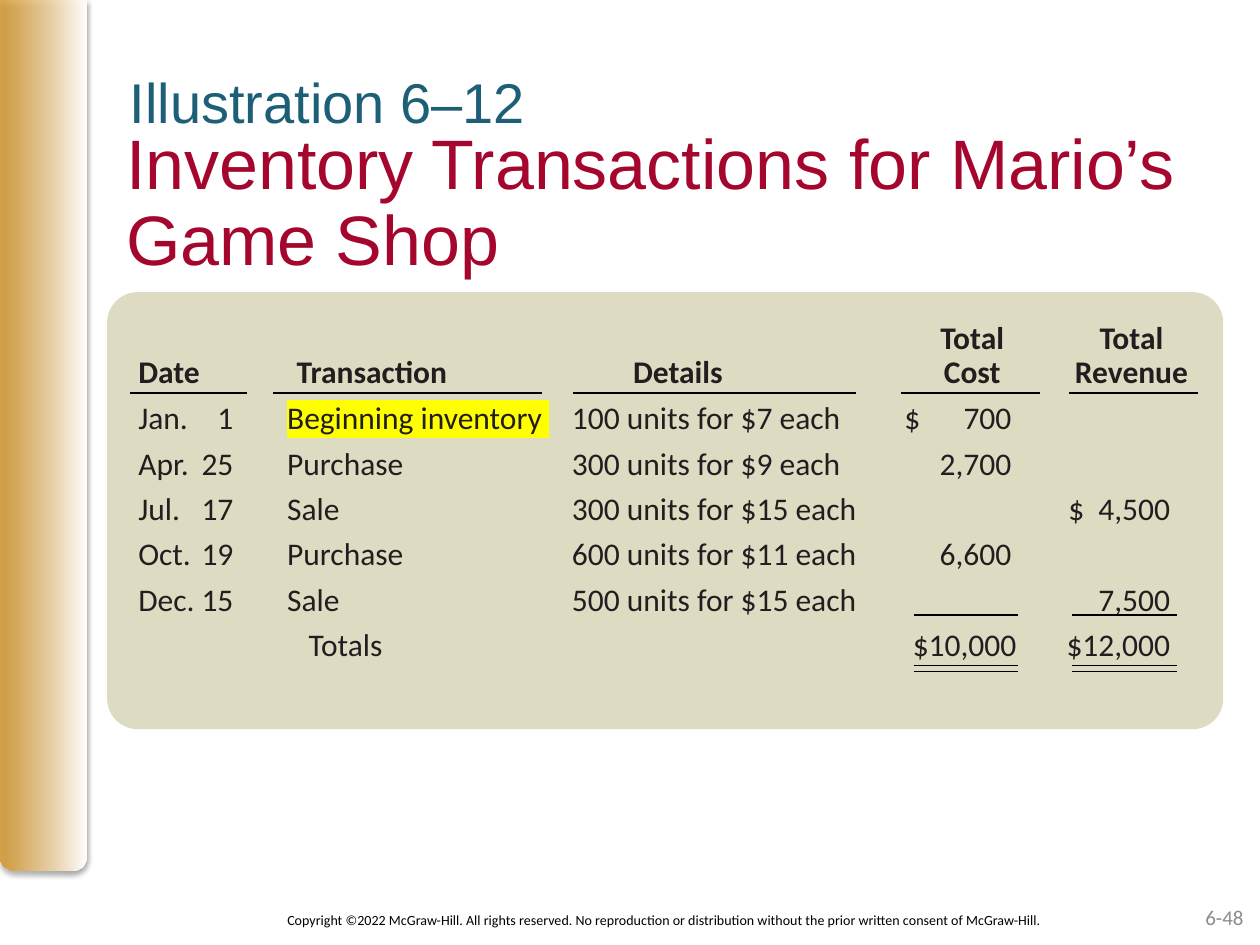
"""Build the slide listing a game shop's inventory transactions."""
from dataclasses import dataclass

from lxml.etree import SubElement
from pptx import Presentation
from pptx.dml.color import RGBColor
from pptx.enum.shapes import MSO_CONNECTOR, MSO_SHAPE
from pptx.enum.text import MSO_ANCHOR, MSO_AUTO_SIZE, PP_ALIGN
from pptx.oxml.ns import qn
from pptx.util import Cm, Pt


@dataclass(frozen=True)
class Theme:
    heading: str = "Arial"
    body: str = "Calibri"
    gold: str = "D49323"
    white: str = "FFFFFF"
    panel: str = "D4D0B0"
    crimson: str = "A5062D"
    teal: str = "1D5F76"
    ink: str = "221E1F"
    black: str = "000000"
    gray: str = "8C8C8C"
    marker: str = "FFFF00"
    title_size: int = 40
    label_size: int = 32
    body_size: int = 18
    number_size: int = 12
    footer_size: int = 8


theme = Theme()


def add_text(p, text, size=theme.body_size, color=theme.ink, font=theme.body, bold=False, highlight=None):
    r = p.add_run()
    r.text = text
    r.font.size = Pt(size)
    r.font.bold = bold
    r.font.color.rgb = RGBColor.from_string(color)
    if highlight:
        mark = SubElement(r.font._element, qn("a:highlight"))
        SubElement(mark, qn("a:srgbClr"), val=highlight)
    r.font.name = font


def add_rule(s, left, right, y):
    line = s.shapes.add_connector(MSO_CONNECTOR.STRAIGHT, Cm(left), Cm(y), Cm(right), Cm(y))
    line.line.color.rgb = RGBColor.from_string(theme.black)
    line.line.width = Pt(0.75)
    SubElement(line._element.spPr, qn("a:effectLst"))


prs = Presentation()
prs.slide_width, prs.slide_height = Cm(25.4), Cm(19.05)
s = prs.slides.add_slide(prs.slide_layouts[5])

bar = s.shapes.add_shape(MSO_SHAPE.ROUND_2_SAME_RECTANGLE, Cm(0), Cm(0), Cm(1.75), Cm(17.55))
bar.adjustments[0], bar.adjustments[1] = 0, 0.17
bar.fill.gradient()
bar.fill.gradient_angle = 0
for stop, color, position in zip(bar.fill.gradient_stops, (theme.gold, theme.white), (0, 1)):
    stop.color.rgb = RGBColor.from_string(color)
    stop.position = position

panel = s.shapes.add_shape(MSO_SHAPE.ROUNDED_RECTANGLE, Cm(2.16), Cm(5.89), Cm(22.5), Cm(8.81))
panel.adjustments[0] = 0.07
panel.fill.solid()
panel.fill.fore_color.rgb = RGBColor.from_string(theme.panel)

for sp, alpha in ((bar, 80000), (panel, 75000)):
    sp.line.fill.background()
    sp.shadow.inherit = False
    SubElement(next(sp._element.spPr.iter(qn("a:srgbClr"))), qn("a:alpha"), val=str(alpha))

effects = bar._element.spPr.find(qn("a:effectLst"))
shadow = SubElement(effects, qn("a:outerShdw"), blurRad=str(Pt(3.1)), dist=str(Pt(1.8)), dir="5400000", rotWithShape="0")
SubElement(SubElement(shadow, qn("a:srgbClr"), val=theme.black), qn("a:alpha"), val="35000")

title = s.shapes.title
title.left, title.top, title.width, title.height = Cm(2.54), Cm(2.54), Cm(22.86), Cm(3.18)
tf = title.text_frame
tf.auto_size = MSO_AUTO_SIZE.NONE
tf.vertical_anchor = MSO_ANCHOR.MIDDLE
tf.margin_left = tf.margin_right = tf.margin_top = tf.margin_bottom = 0
p = tf.paragraphs[0]
p.alignment = PP_ALIGN.LEFT
p.line_spacing = 0.9
add_text(p, "Inventory Transactions for Mario’s Game Shop", size=theme.title_size, color=theme.crimson, font=theme.heading)

notice = ("Copyright ©2022 McGraw-Hill. All rights reserved. No reproduction or distribution "
          "without the prior written consent of McGraw-Hill.")
labels = [
    ("Illustration 6–12", (2.62, 1.37, 14.63, 1.17), PP_ALIGN.LEFT, MSO_ANCHOR.TOP, 0,
     dict(size=theme.label_size, color=theme.teal, font=theme.heading)),
    (notice, (3.71, 18.24, 19.38, 0.61), PP_ALIGN.CENTER, MSO_ANCHOR.TOP, 0.13,
     dict(size=theme.footer_size, color=theme.black)),
    ("6-48", (19.41, 17.98, 5.92, 1.02), PP_ALIGN.RIGHT, MSO_ANCHOR.MIDDLE, 0.13,
     dict(size=theme.number_size, color=theme.gray)),
]
for text, box, align, anchor, inset, style in labels:
    tf = s.shapes.add_textbox(*map(Cm, box)).text_frame
    tf.word_wrap = True
    tf.vertical_anchor = anchor
    tf.margin_top = tf.margin_bottom = Cm(inset)
    tf.margin_left = tf.margin_right = Cm(2 * inset)
    tf.paragraphs[0].alignment = align
    add_text(tf.paragraphs[0], text, **style)

header_tabs = [(4.78, "ctr"), (10.95, "ctr"), (16.81, "ctr"), (20.02, "ctr")]
row_tabs = [(2.06, "r"), (3, "l"), (8.74, "l"), (17.6, "r"), (20.8, "r")]
total_tabs = [(3.43, "l"), (17.7, "r"), (20.8, "r")]
bold = dict(bold=True)
marked = dict(highlight=theme.marker)
rows = [
    (header_tabs, 0.9, [("\t\t\tTotal\tTotal", bold)]),
    (header_tabs, 0.9, [("Date \tTransaction \tDetails \tCost\tRevenue", bold)]),
    (sorted(row_tabs + [(15.44, "l")]), 1.2,
     [("Jan.\t1 \t", {}), ("Beginning inventory ", marked), ("\t100 units for $7 each \t$\t700", {})]),
    (row_tabs, 1.2, [("Apr.\t25 \tPurchase \t300 units for $9 each \t2,700", {})]),
    (sorted(row_tabs + [(18.75, "l")]), 1.2,
     [("Jul.\t17 \tSale \t300 units for $15 each\t\t$\t4,500", {})]),
    (row_tabs, 1.2, [("Oct.\t19 \tPurchase \t600 units for $11 each \t6,600", {})]),
    (row_tabs, 1.2, [("Dec.\t15 \tSale \t500 units for $15 each \t\t7,500", {})]),
    (total_tabs, 1.2, [("\tTotals\t$10,000\t$12,000", {})]),
]
tf = s.shapes.add_textbox(Cm(2.54), Cm(6.38), Cm(22.12), Cm(8.1)).text_frame
tf.word_wrap = True
for i, (tabs, spacing, runs) in enumerate(rows):
    p = tf.add_paragraph() if i else tf.paragraphs[0]
    tab_list = SubElement(p._p.get_or_add_pPr(), qn("a:tabLst"))
    for position, align in tabs:
        SubElement(tab_list, qn("a:tab"), pos=str(Cm(position)), algn=align)
    p.line_spacing = spacing
    for text, style in runs:
        add_text(p, text, **style)

for left, right in ((2.62, 4.98), (5.51, 10.92), (11.56, 17.25), (18.16, 20.96), (21.54, 24.16)):
    add_rule(s, left, right, 7.92)
for left in (18.42, 21.62):
    for y in (12.4, 13.41, 13.54):
        add_rule(s, left, left + 2.1, y)

prs.save("out.pptx")
